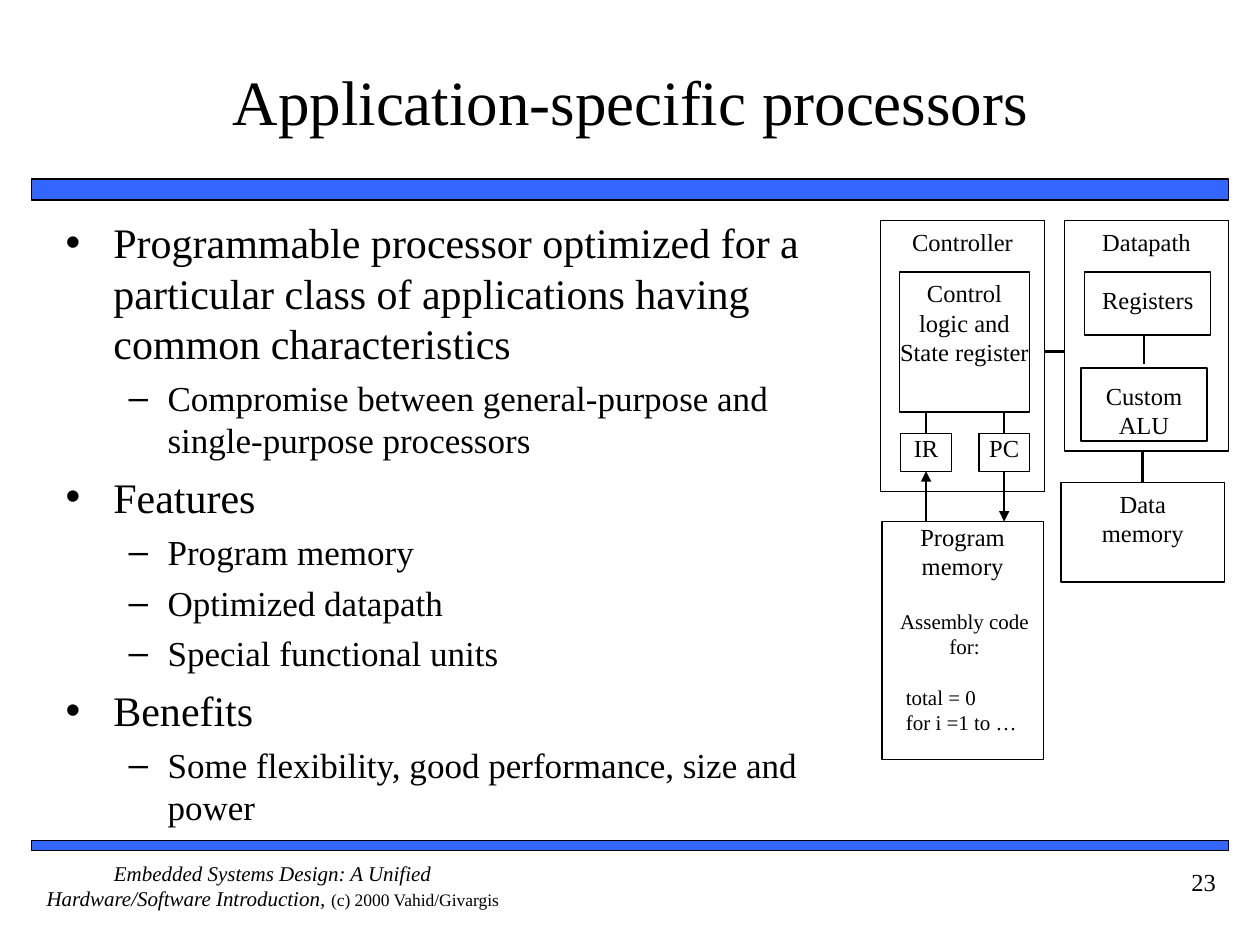
import pptx
import pptx.util
import pptx.dml.color
import pptx.enum.shapes
import pptx.enum.text
import pptx.oxml.ns
import lxml.etree

Inches = pptx.util.Inches
Pt = pptx.util.Pt
ALIGN = pptx.enum.text.PP_ALIGN
ANCHOR = pptx.enum.text.MSO_ANCHOR
qn = pptx.oxml.ns.qn

BLACK = pptx.dml.color.RGBColor(0x00, 0x00, 0x00)
WHITE = pptx.dml.color.RGBColor(0xFF, 0xFF, 0xFF)
BLUE = pptx.dml.color.RGBColor(0x33, 0x66, 0xFF)
FONT = "Times New Roman"

POINTS = [
    (0, "Programmable processor optimized for a particular class of applications having common characteristics"),
    (1, "Compromise between general-purpose and single-purpose processors"),
    (0, "Features"),
    (1, "Program memory"),
    (1, "Optimized datapath"),
    (1, "Special functional units"),
    (0, "Benefits"),
    (1, "Some flexibility, good performance, size and power"),
]
LEVELS = [(24, 6, "•", 0.38, -0.38), (20, 5, "–", 0.81, -0.31)]


def style(run, size, slant=False):
    """Format one run of text."""
    run.font.name = FONT
    run.font.size = Pt(size)
    run.font.italic = slant
    run.font.color.rgb = BLACK


def setup(frame, pads, anchor=ANCHOR.TOP):
    """Set the wrapping, insets and anchor of a text frame."""
    frame.word_wrap = True
    frame.auto_size = pptx.enum.text.MSO_AUTO_SIZE.NONE
    frame.vertical_anchor = anchor
    frame.margin_left, frame.margin_top, frame.margin_right, frame.margin_bottom = map(Inches, pads)


def write(frame, text, size, align=ALIGN.CENTER, pads=(0, 0.05, 0, 0.05), anchor=ANCHOR.TOP):
    """Fill a text frame with evenly styled paragraphs."""
    setup(frame, pads, anchor)
    frame.text = text
    for line in frame.paragraphs:
        line.alignment = align
        for run in line.runs:
            style(run, size)


def place(shape, box):
    """Move a shape to a box given in inches."""
    shape.left, shape.top, shape.width, shape.height = map(Inches, box)


def block(slide, box, fill=WHITE, weight=0.75):
    """Draw an outlined rectangle, left hollow when fill is None."""
    shape = slide.shapes.add_shape(pptx.enum.shapes.MSO_SHAPE.RECTANGLE, *map(Inches, box))
    shape.shadow.inherit = False
    if fill is None:
        shape.fill.background()
    else:
        shape.fill.solid()
        shape.fill.fore_color.rgb = fill
    shape.line.color.rgb = BLACK
    shape.line.width = Pt(weight)
    return shape


def label(slide, box, text, size=14, **options):
    """Add a text box."""
    frame = slide.shapes.add_textbox(*map(Inches, box)).text_frame
    write(frame, text, size, **options)
    return frame


def link(slide, start, end, arrow=False):
    """Draw a straight line between two points."""
    line = slide.shapes.add_connector(
        pptx.enum.shapes.MSO_CONNECTOR.STRAIGHT, *map(Inches, start + end))
    line.line.color.rgb = BLACK
    line.line.width = Pt(1.5)
    props = line._element.spPr
    if arrow:
        lxml.etree.SubElement(props.find(qn("a:ln")), qn("a:tailEnd"), type="triangle")
    lxml.etree.SubElement(props, qn("a:effectLst"))
    return line


def header(slide, box):
    """Place the title and the bar below it."""
    x, y, w, h = box
    title = slide.shapes.title
    place(title, (x + 0.17, y, 9.17, 1.25))
    write(title.text_frame, "Application-specific processors", 36, anchor=ANCHOR.MIDDLE)
    block(slide, (x, y + 1.25, w, 0.17), BLUE, 1)


def outline(slide, box):
    """Place the bulleted list."""
    body = slide.placeholders[1]
    place(body, box)
    frame = body.text_frame
    setup(frame, (0.1, 0.05, 0.1, 0.05))
    frame.text = "\n".join(text for _, text in POINTS)
    for spot, (line, (level, _)) in enumerate(zip(frame.paragraphs, POINTS)):
        size, gap, mark, left, hang = LEVELS[level]
        line.level = level
        line.space_before = Pt(gap if spot else 0)
        props = line._p.get_or_add_pPr()
        props.set("marL", str(Inches(left)))
        props.set("indent", str(Inches(hang)))
        lxml.etree.SubElement(props, qn("a:buChar"), char=mark)
        style(line.runs[0], size)


def control(slide, box):
    """Draw the controller and return its IR and PC boxes."""
    x, y, w, h = box
    write(block(slide, box, None).text_frame, "Controller", 14)
    logic = block(slide, (x + 0.15, y + 0.41, 1.03, 1.11))
    write(logic.text_frame, "Control\nlogic and State register", 14, pads=(0, 0.05, 0, 0))
    cells = []
    for name, shift in (("IR", 0.16), ("PC", 0.78)):
        cell = block(slide, (x + shift, y + 1.69, 0.4, 0.3))
        write(cell.text_frame, name, 14, pads=(0, 0, 0, 0))
        mid = x + shift + 0.2
        link(slide, (mid, y + 1.52), (mid, y + 1.69)).end_connect(cell, 0)
        cells.append(cell)
    return cells


def program(slide, box, cells):
    """Draw the program memory with its arrows to and from the cells."""
    x, y, w, h = box
    block(slide, box)
    label(slide, (x, y - 0.05, w, 0.38), "Program memory")
    code = label(slide, (x + 0.11, y + 0.64, 1.09, 0.8),
                 "Assembly code for:\ntotal = 0\nfor i =1 to …", 12)
    for line in code.paragraphs[1:]:
        line.alignment = ALIGN.LEFT
        line._p.get_or_add_pPr().set("marL", str(Inches(0.08)))
    code.paragraphs[1].space_before = Pt(14.5)
    low, high = (x + 0.35, y), (x + 0.35, y - 0.4)
    link(slide, low, high, True).end_connect(cells[0], 2)
    low, high = (x + 0.97, y), (x + 0.97, y - 0.4)
    link(slide, high, low, True).begin_connect(cells[1], 2)


def data(slide, box):
    """Draw the datapath and the data memory below it."""
    x, y, w, h = box
    write(block(slide, box, None).text_frame, "Datapath", 14)
    for text, part in (("Registers", (x + 0.16, y + 0.41, 1, 0.5)),
                       ("Custom\nALU", (x + 0.13, y + 1.17, 1, 0.58))):
        write(block(slide, part).text_frame, text, 14, pads=(0, 0.1, 0, 0.05))
    link(slide, (x + 0.63, y + 0.92), (x + 0.63, y + 1.14))
    store = block(slide, (x - 0.03, y + 2.08, 1.3, 0.79))
    write(store.text_frame, "Data\nmemory", 14)
    link(slide, (x + 0.62, y + h), (x + 0.62, y + 2.08)).end_connect(store, 0)


def chip(slide, box):
    """Draw the processor diagram."""
    x, y, w, h = box
    cells = control(slide, (x, y, 1.3, 2.15))
    program(slide, (x + 0.01, y + 2.39, 1.28, 1.89), cells)
    data(slide, (x + 1.46, y, 1.3, 1.83))
    link(slide, (x + 1.3, y + 1.04), (x + 1.46, y + 1.04))


def footer(slide, box):
    """Place the lower bar, the credit line and the page number."""
    x, y, w, h = box
    block(slide, (x, y, w, 0.08), BLUE, 1)
    frame = label(slide, (x, y + 0.16, 3.83, 0.5),
                  "Embedded Systems Design: A Unified Hardware/Software Introduction, ",
                  12, pads=(0, 0, 0, 0))
    line = frame.paragraphs[0]
    style(line.runs[0], 12, True)
    run = line.add_run()
    run.text = "(c) 2000 Vahid/Givargis"
    style(run, 10)
    label(slide, (x + w - 1, y + 0.16, 1, 0.5), "23", align=ALIGN.RIGHT, pads=(0.1, 0.05, 0.1, 0.05))


def main():
    """Build and save the slide."""
    deck = pptx.Presentation()
    deck.slide_width, deck.slide_height = Inches(10), Inches(7.5)
    slide = deck.slides.add_slide(deck.slide_layouts[1])
    header(slide, (0.25, 0.17, 9.5, 1.42))
    outline(slide, (0.42, 1.67, 6.33, 4.92))
    chip(slide, (6.99, 1.75, 2.76, 4.28))
    footer(slide, (0.25, 6.67, 9.5, 0.66))
    deck.save("out.pptx")


if __name__ == "__main__":
    main()
